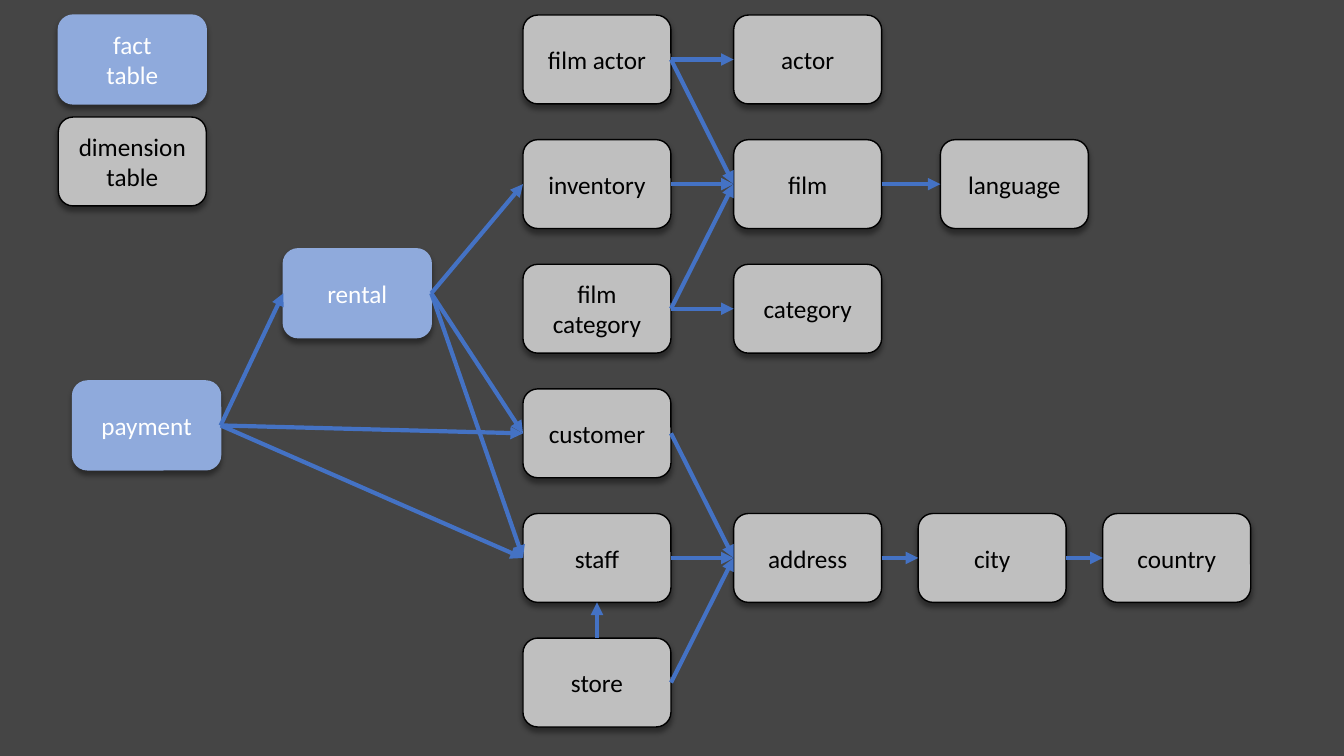
from pptx import Presentation
from pptx import util as u
from pptx.dml.color import RGBColor
from pptx.enum import shapes, text
from pptx.oxml import parse_xml
from pptx.oxml.ns import nsdecls, qn

Cm = u.Cm
BOX_W, BOX_H = 3.73, 2.24
ROW_PITCH = 3.14
TOP, RIGHT, BOTTOM, LEFT = 0, 3, 2, 1  # connection sites

# (fill, outline, text) for each kind of table
FACT = ("8FAADC", "8FAADC", "FFFFFF")
DIMENSION = ("BFBFBF", "000000", "000000")
ARROW = "4472C4"

# Tables: label -> (column left, row)
DIMENSIONS = {
    "film actor": (13.18, 0), "actor": (18.49, 0),
    "inventory": (13.18, 1), "film": (18.49, 1), "language": (23.7, 1),
    "film category": (13.18, 2), "category": (18.49, 2),
    "customer": (13.18, 3),
    "staff": (13.18, 4), "address": (18.49, 4), "city": (23.14, 4),
    "country": (27.79, 4),
    "store": (13.18, 5),
}
# Facts stand between the rows: label -> (left, top)
FACTS = {"rental": (7.14, 6.27), "payment": (1.83, 9.6)}

# Foreign keys, drawn from right side to left side
REFERENCES = {
    "address": ["city"],
    "city": ["country"],
    "store": ["address"],
    "staff": ["address"],
    "customer": ["address"],
    "film category": ["category", "film"],
    "inventory": ["film"],
    "film actor": ["film", "actor"],
    "film": ["language"],
    "rental": ["inventory", "customer", "staff"],
    "payment": ["rental", "customer", "staff"],
}


def rgb(hex_color):
    return RGBColor.from_string(hex_color)


def add_shadow(shape):
    shape.shadow.inherit = False
    effects = shape._element.spPr.find(qn("a:effectLst"))
    effects.append(parse_xml(
        f'<a:outerShdw {nsdecls("a")} blurRad="50800" dist="38100" dir="5400000" '
        'algn="t" rotWithShape="0"><a:srgbClr val="000000">'
        '<a:alpha val="40000"/></a:srgbClr></a:outerShdw>'))


def add_table_box(slide, label, left, top, colors):
    fill, outline, ink = colors
    box = slide.shapes.add_shape(
        shapes.MSO_SHAPE.FLOWCHART_ALTERNATE_PROCESS,
        Cm(left), Cm(top), Cm(BOX_W), Cm(BOX_H))
    box.fill.solid()
    box.fill.fore_color.rgb = rgb(fill)
    box.line.color.rgb = rgb(outline)
    box.line.width = u.Pt(1)
    add_shadow(box)
    frame = box.text_frame
    frame.word_wrap = True
    frame.vertical_anchor = text.MSO_ANCHOR.MIDDLE
    frame.text = label
    paragraph = frame.paragraphs[0]
    paragraph.alignment = text.PP_ALIGN.CENTER
    for run in paragraph.runs:
        run.font.name = "Calibri"
        run.font.size = u.Pt(18)
        run.font.color.rgb = rgb(ink)
    return box


def add_reference(slide, source, target, start=RIGHT, end=LEFT):
    arrow = slide.shapes.add_connector(shapes.MSO_CONNECTOR.STRAIGHT, 0, 0, 0, 0)
    arrow.begin_connect(source, start)
    arrow.end_connect(target, end)
    arrow.line.color.rgb = rgb(ARROW)
    arrow.line.width = u.Pt(3)
    properties = arrow._element.spPr
    properties.find(qn("a:ln")).append(
        parse_xml(f'<a:tailEnd {nsdecls("a")} type="triangle"/>'))
    properties.append(parse_xml(f'<a:effectLst {nsdecls("a")}/>'))


def add_schema(slide, left, top):
    """Tables and the references between them."""
    tables = {}
    for label, (x, row) in DIMENSIONS.items():
        tables[label] = add_table_box(
            slide, label, left + x, top + 0.38 + row * ROW_PITCH, DIMENSION)
    for label, (x, y) in FACTS.items():
        tables[label] = add_table_box(slide, label, left + x, top + y, FACT)
    for source, targets in REFERENCES.items():
        for target in targets:
            add_reference(slide, tables[source], tables[target])
    add_reference(slide, tables["store"], tables["staff"], TOP, BOTTOM)


def add_legend(slide, left, top):
    """Key to the two kinds of table."""
    entries = [("fact\vtable", FACT), ("dimension table", DIMENSION)]
    for i, (label, colors) in enumerate(entries):
        add_table_box(slide, label, left, top + i * 2.57, colors)


deck = Presentation()
deck.slide_width, deck.slide_height = Cm(33.87), Cm(19.05)
slide = deck.slides.add_slide(deck.slide_layouts[6])
slide.background.fill.solid()
slide.background.fill.fore_color.rgb = rgb("454545")
add_schema(slide, 0, 0)
add_legend(slide, 1.47, 0.38)
deck.save("out.pptx")
